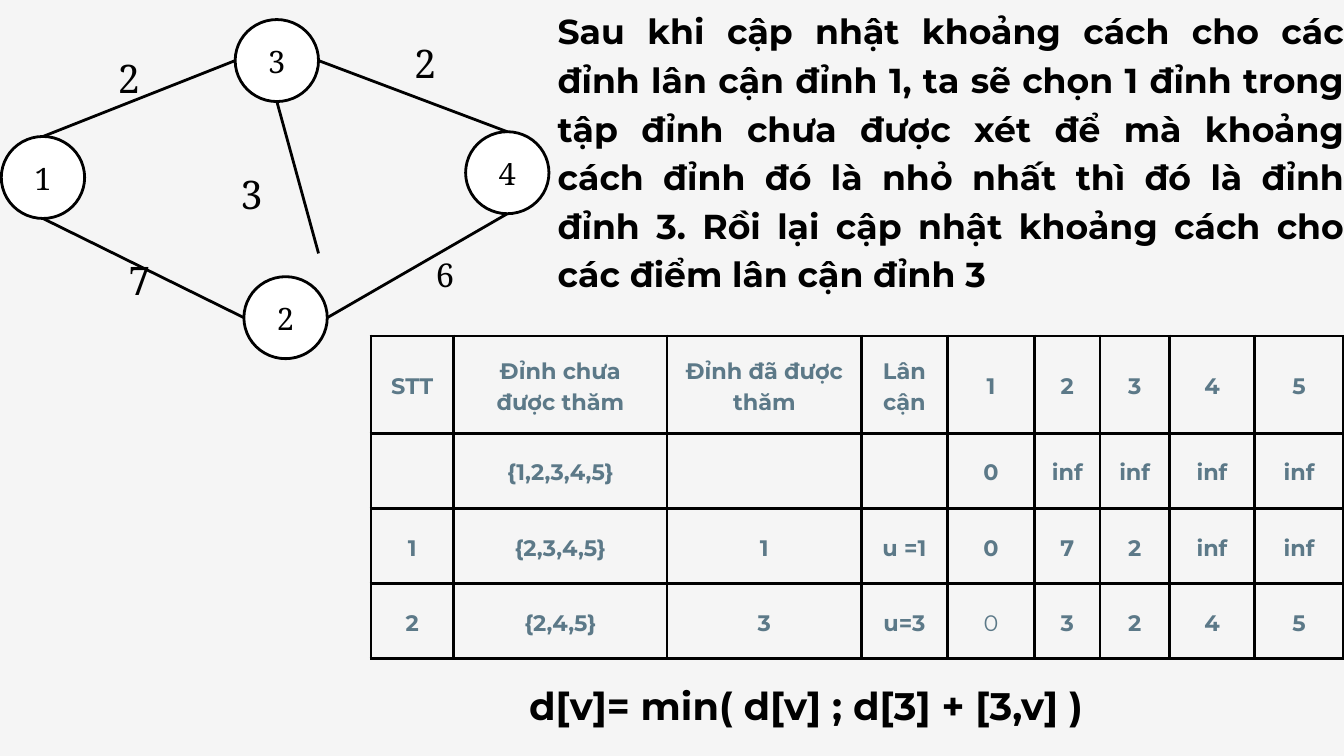
from lxml import etree
from pptx import Presentation
from pptx.dml.color import RGBColor
from pptx.enum.shapes import MSO_CONNECTOR, MSO_SHAPE
from pptx.enum.text import MSO_ANCHOR, PP_ALIGN
from pptx.oxml.ns import qn
from pptx.util import Cm, Pt

CENTER, JUSTIFY = PP_ALIGN.CENTER, PP_ALIGN.JUSTIFY
MIDDLE = MSO_ANCHOR.MIDDLE
OVAL = MSO_SHAPE.OVAL
STRAIGHT = MSO_CONNECTOR.STRAIGHT

COLORS = {"background": "F5F5F5", "ink": "000000", "node": "FFFFFF", "table": "5C7988"}
SANS, SERIF = "Montserrat", "Noto Serif"
LINE_WIDTH = Pt(3)

NODE_WIDTH, NODE_HEIGHT = 3.15, 3.1
NODES = {"1": (0.05, 5.16), "4": (17.6, 4.98), "2": (9.22, 10.46), "3": (8.89, 0.74)}
EDGES = [
    (("2", "right"), ("4", "bottom")),
    (("1", "bottom"), ("2", "left")),
    (("1", "top"), ("3", "left")),
    (("3", "right"), ("4", "top")),
]
LOOSE_END = (12.04, 9.58)
# weight, left, top, width, height, font size, line spacing
WEIGHTS = [
    ("2", 4.45, 1.75, 0.84, 1.98, 42.1, 59),
    ("2", 15.65, 1.19, 0.84, 1.98, 42.1, 59),
    ("6", 16.48, 9.4, 0.69, 1.65, 35.1, 49.2),
    ("7", 4.85, 9.4, 0.84, 1.98, 42.1, 59),
    ("3", 9.09, 6.12, 0.84, 1.98, 42.1, 59),
]

COLUMN_WIDTHS = [3.12, 8.08, 7.34, 3.25, 3.3, 2.46, 2.64, 3.2, 3.38]
ROW_HEIGHTS = [3.68, 2.84, 2.84, 2.84]
ROWS = [
    ["STT", "Đỉnh chưa được thăm", "Đỉnh đã được thăm", "Lân cận", "1", "2", "3", "4", "5"],
    ["", "{1,2,3,4,5}", "", "", "0", "inf", "inf", "inf", "inf"],
    ["1", "{2,3,4,5}", "1", "u =1", "0", "7", "2", "inf", "inf"],
    ["2", "{2,4,5}", "3", "u=3", "0", "3", "2", "4", "5"],
]
REGULAR_CELL = (3, 4)

EXPLANATION = (
    "Sau khi cập nhật khoảng cách cho các đỉnh lân cận đỉnh 1, ta sẽ chọn 1 đỉnh trong "
    "tập đỉnh chưa được xét để mà khoảng cách đỉnh đó là nhỏ nhất thì đó là đỉnh đỉnh 3. "
    "Rồi lại cập nhật khoảng cách cho các điểm lân cận đỉnh 3"
)
FORMULA = "d[v]= min( d[v] ; d[3] + [3,v] )"


def rgb(name):
    return RGBColor.from_string(COLORS[name])


def write(frame, text, *, size, spacing, font=SANS, color="ink", bold=False, align=CENTER):
    paragraph = frame.paragraphs[0]
    paragraph.alignment = align
    paragraph.line_spacing = Pt(spacing)
    run = paragraph.add_run()
    run.text = text
    run.font.name = font
    run.font.size = Pt(size)
    run.font.bold = bold
    run.font.color.rgb = rgb(color)


def set_margins(frame, left=0, top=0, right=0, bottom=0):
    frame.margin_left, frame.margin_top = Cm(left), Cm(top)
    frame.margin_right, frame.margin_bottom = Cm(right), Cm(bottom)


def add_text(slide, text, left, top, width, height, **text_format):
    frame = slide.shapes.add_textbox(Cm(left), Cm(top), Cm(width), Cm(height)).text_frame
    frame.word_wrap = True
    set_margins(frame)
    write(frame, text, **text_format)


def add_node(slide, label, left, top):
    shape = slide.shapes.add_shape(OVAL, Cm(left), Cm(top), Cm(NODE_WIDTH), Cm(NODE_HEIGHT))
    shape.shadow.inherit = False
    shape.fill.solid()
    shape.fill.fore_color.rgb = rgb("node")
    shape.line.color.rgb = rgb("ink")
    shape.line.width = LINE_WIDTH
    frame = shape.text_frame
    frame.vertical_anchor = MIDDLE
    set_margins(frame, bottom=0.2)
    write(frame, label, size=33, spacing=46.2, font=SERIF)


def node_point(label, side):
    """Return the point in the middle of one side of a node."""
    left, top = NODES[label]
    across, down = {"top": (0.5, 0), "left": (0, 0.5), "bottom": (0.5, 1), "right": (1, 0.5)}[side]
    return left + across * NODE_WIDTH, top + down * NODE_HEIGHT


def add_edge(slide, start, end):
    connector = slide.shapes.add_connector(STRAIGHT, *(Cm(value) for value in (*start, *end)))
    connector.line.color.rgb = rgb("ink")
    connector.line.width = LINE_WIDTH
    etree.SubElement(connector._element.spPr, qn("a:effectLst"))


def set_borders(cell):
    properties = cell._tc.get_or_add_tcPr()
    for index, side in enumerate(("lnL", "lnR", "lnT", "lnB")):
        border = etree.Element(qn(f"a:{side}"), w=str(LINE_WIDTH))
        fill = etree.SubElement(border, qn("a:solidFill"))
        etree.SubElement(fill, qn("a:srgbClr"), val=COLORS["ink"])
        properties.insert(index, border)


def add_distance_table(slide):
    table = slide.shapes.add_table(
        len(ROWS), len(COLUMN_WIDTHS), Cm(14.02), Cm(12.7),
        Cm(sum(COLUMN_WIDTHS)), Cm(sum(ROW_HEIGHTS)),
    ).table
    table.first_row = table.horz_banding = False
    for column, width in zip(table.columns, COLUMN_WIDTHS):
        column.width = Cm(width)
    for row, height in zip(table.rows, ROW_HEIGHTS):
        row.height = Cm(height)
    for row_index, values in enumerate(ROWS):
        for column_index, value in enumerate(values):
            cell = table.cell(row_index, column_index)
            cell.fill.background()
            set_borders(cell)
            cell.vertical_anchor = MIDDLE
            set_margins(cell, 0.53, 0.53, 0.53, 0.53)
            if value:
                bold = (row_index, column_index) != REGULAR_CELL
                write(cell.text_frame, value, size=24, spacing=33.6, color="table", bold=bold)


def add_graph(slide):
    for text, left, top, width, height, size, spacing in WEIGHTS:
        add_text(slide, text, left, top, width, height, size=size, spacing=spacing, font=SERIF)
    for label, (left, top) in NODES.items():
        add_node(slide, label, left, top)
    for start, end in EDGES:
        add_edge(slide, node_point(*start), node_point(*end))
    add_edge(slide, node_point("3", "bottom"), LOOSE_END)


def main():
    presentation = Presentation()
    presentation.slide_width, presentation.slide_height = Cm(50.8), Cm(28.58)
    slide = presentation.slides.add_slide(presentation.slide_layouts[6])
    slide.background.fill.solid()
    slide.background.fill.fore_color.rgb = rgb("background")
    add_distance_table(slide)
    add_graph(slide)
    add_text(slide, FORMULA, 19.99, 25.5, 20.98, 1.93, size=41.1, spacing=57.6, bold=True)
    add_text(slide, EXPLANATION, 21.08, 0.13, 29.72, 10.87,
             size=37.1, spacing=52, bold=True, align=JUSTIFY)
    presentation.save("out.pptx")


if __name__ == "__main__":
    main()
